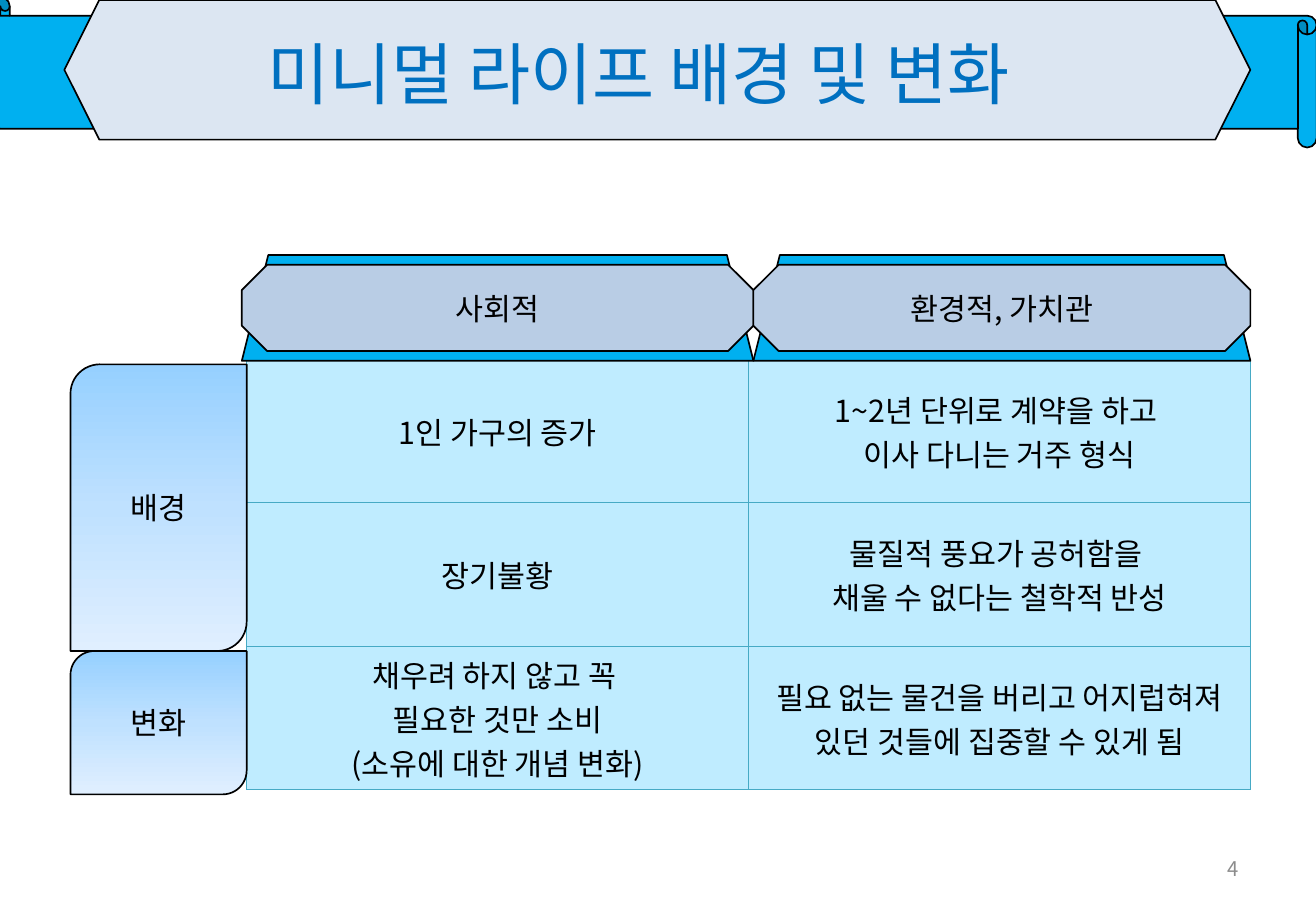
from copy import deepcopy
from lxml import etree
from pptx import Presentation
from pptx.dml.color import RGBColor
from pptx.enum.shapes import MSO_SHAPE
from pptx.enum.text import MSO_ANCHOR, PP_ALIGN
from pptx.oxml.ns import qn
from pptx.util import Inches, Pt

SCROLL = MSO_SHAPE.VERTICAL_SCROLL
HEXAGON = MSO_SHAPE.HEXAGON
TRAPEZOID = MSO_SHAPE.TRAPEZOID
OCTAGON = MSO_SHAPE.OCTAGON
LEAF = MSO_SHAPE.ROUND_2_DIAG_RECTANGLE
CENTER, RIGHT = PP_ALIGN.CENTER, PP_ALIGN.RIGHT
MIDDLE = MSO_ANCHOR.MIDDLE

FONT = "Noto Sans CJK KR"
BLACK = RGBColor(0x00, 0x00, 0x00)
SKY = RGBColor(0x00, 0xB0, 0xF0)
PALE = RGBColor(0xDC, 0xE6, 0xF2)
STEEL = RGBColor(0xB9, 0xCD, 0xE5)
BLUE = RGBColor(0x00, 0x70, 0xC0)
GRAY = RGBColor(0x8C, 0x8C, 0x8C)
AQUA = RGBColor(0xBF, 0xEC, 0xFF)
TEAL = RGBColor(0x46, 0xAA, 0xC5)
FADE = [
    (0, RGBColor(0x96, 0xD0, 0xFF)),
    (0.5, RGBColor(0xBF, 0xE1, 0xFF)),
    (1, RGBColor(0xE0, 0xEF, 0xFF)),
]

TITLE = "미니멀 라이프 배경 및 변화"
NUMBER = "4"
HEADS = [("사회적", 1.99, 4.21), ("환경적, 가치관", 6.2, 4.09)]
SIDES = [("배경", 2), ("변화", 1)]
CELLS = [
    ["1인 가구의 증가", "1~2년 단위로 계약을 하고 \n이사 다니는 거주 형식"],
    ["장기불황", "물질적 풍요가 공허함을 \n채울 수 없다는 철학적 반성"],
    ["채우려 하지 않고 꼭 \n필요한 것만 소비\n(소유에 대한 개념 변화)",
     "필요 없는 물건을 버리고 어지럽혀져 있던 것들에 집중할 수 있게 됨"],
]
LEFT, TOP, COL, ROW = 2.03, 2.96, 4.13, 1.18
SIDE_X, SIDE_Y, SIDE_W = 0.58, 3, 1.45

deck = Presentation()
deck.slide_width, deck.slide_height = Inches(10.83), Inches(7.5)
slide = deck.slides.add_slide(deck.slide_layouts[6])


def write(frame, text, size=18, color=BLACK, align=CENTER):
    frame.word_wrap = True
    para = frame.paragraphs[0]
    para.alignment = align
    for i, line in enumerate(text.split("\n")):
        if i:
            para.add_line_break()
        run = para.add_run()
        run.text = line
        font = run.font
        font.name, font.size, font.color.rgb = FONT, Pt(size), color
        east = etree.SubElement(run._r.get_or_add_rPr(), qn("a:ea"))
        east.set("typeface", FONT)


def draw(kind, box, color=None, text=""):
    shape = slide.shapes.add_shape(kind, *map(Inches, box))
    shape.shadow.inherit = False
    shape.line.color.rgb, shape.line.width = BLACK, Pt(1)
    if color:
        shape.fill.solid()
        shape.fill.fore_color.rgb = color
    if text:
        shape.text_frame.vertical_anchor = MIDDLE
        write(shape.text_frame, text)
    return shape


def label(box, text, size, color, align):
    frame = slide.shapes.add_textbox(*map(Inches, box)).text_frame
    frame.vertical_anchor = MIDDLE
    write(frame, text, size, color, align)


def fade(shape):
    fill = shape.fill
    fill.gradient()
    fill.gradient_angle = 270
    first = fill.gradient_stops[0]._gs
    first.addnext(deepcopy(first))
    for stop, (pos, color) in zip(fill.gradient_stops, FADE):
        stop.position, stop.color.rgb = pos, color


def edge(cell):
    props = cell._tc.get_or_add_tcPr()
    for i, side in enumerate(("lnL", "lnR", "lnT", "lnB")):
        line = etree.Element(qn(f"a:{side}"), w=str(Pt(0.75)))
        solid = etree.SubElement(line, qn("a:solidFill"))
        etree.SubElement(solid, qn("a:srgbClr"), val=str(TEAL))
        props.insert(i, line)


draw(SCROLL, (4.76, -4.86, 1.24, 10.91), SKY).rotation = 90
draw(HEXAGON, (0.53, 0, 9.76, 1.15), PALE)
label((0.38, -0.02, 9.75, 1.23), TITLE, 40, BLUE, CENTER)

rows, cols = len(CELLS), len(CELLS[0])
area = (LEFT, TOP, COL * cols, ROW * rows)
table = slide.shapes.add_table(rows, cols, *map(Inches, area)).table
table.first_row = table.horz_banding = False
for r, texts in enumerate(CELLS):
    for c, text in enumerate(texts):
        cell = table.cell(r, c)
        cell.vertical_anchor = MIDDLE
        cell.fill.solid()
        cell.fill.fore_color.rgb = AQUA
        edge(cell)
        write(cell.text_frame, text)

label((7.76, 6.95, 2.53, 0.4), NUMBER, 12, GRAY, RIGHT)

for text, x, width in HEADS:
    draw(TRAPEZOID, (x, 2.1, width, 0.87), SKY)
    draw(OCTAGON, (x, 2.18, width, 0.71), STEEL, text)

y = SIDE_Y
for text, span in SIDES:
    fade(draw(LEAF, (SIDE_X, y, SIDE_W, span * ROW), text=text))
    y += span * ROW

deck.save("out.pptx")
